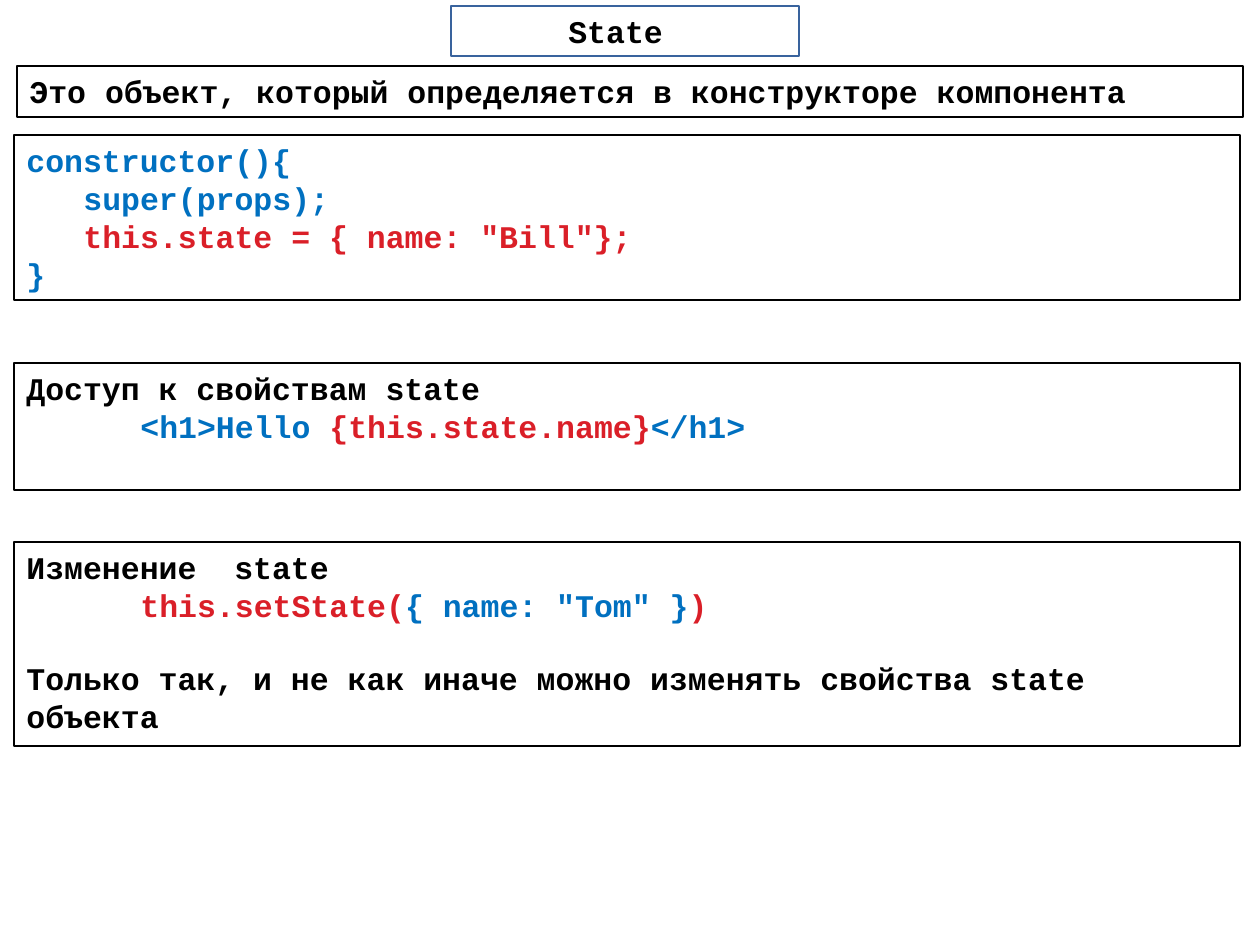
import dataclasses

import pptx
import pptx.dml.color
import pptx.enum.shapes
import pptx.enum.text
import pptx.util

EMU_PER_PX = 914400 / 126


@dataclasses.dataclass(frozen=True)
class Theme:
    """Hold the colours, font and type sizes of the slide."""
    paper: str = "FFFFFF"
    ink: str = "000000"
    code: str = "0070C0"
    accent: str = "DA1F28"
    title_border: str = "39639D"
    font: str = "Courier New"
    text_size: int = 18
    line_gap: float = 20.4
    border: float = 0.75
    title_border_width: float = 1.5


THEME = Theme()


def px(length):
    """Turn whole pixels into EMU."""
    return pptx.util.Emu(round(length * EMU_PER_PX))


def rgb(colour):
    """Turn a hex string into a colour."""
    return pptx.dml.color.RGBColor.from_string(colour)


def add_panel(slide, box, border, border_width, anchor):
    """Draw a bordered panel in the box and return its text frame."""
    panel = slide.shapes.add_shape(
        pptx.enum.shapes.MSO_SHAPE.RECTANGLE, *map(px, box))
    panel.shadow.inherit = False
    panel.fill.solid()
    panel.fill.fore_color.rgb = rgb(THEME.paper)
    panel.line.color.rgb = rgb(border)
    panel.line.width = pptx.util.Pt(border_width)
    panel.text_frame.word_wrap = True
    panel.text_frame.vertical_anchor = anchor
    return panel.text_frame


def write_line(paragraph, parts, alignment, indent=0):
    """Write (text, colour) parts as the runs of one paragraph."""
    paragraph.alignment = alignment
    if indent:
        paragraph._p.get_or_add_pPr().set("marL", str(px(indent)))
    for text, colour in parts:
        run = paragraph.add_run()
        run.text = text
        run.font.name = THEME.font
        run.font.size = pptx.util.Pt(THEME.text_size)
        run.font.bold = True
        run.font.color.rgb = rgb(colour)


def add_title(slide, box, title):
    """Place the centred slide title."""
    frame = add_panel(slide, box, THEME.title_border, THEME.title_border_width,
                      pptx.enum.text.MSO_ANCHOR.MIDDLE)
    write_line(frame.paragraphs[0], [(title, THEME.ink)],
               pptx.enum.text.PP_ALIGN.CENTER)


def add_note(slide, box, lines):
    """Place a panel of (indent, skipped lines, parts) lines."""
    frame = add_panel(slide, box, THEME.ink, THEME.border,
                      pptx.enum.text.MSO_ANCHOR.TOP)
    for number, (indent, skipped, parts) in enumerate(lines):
        paragraph = frame.add_paragraph() if number else frame.paragraphs[0]
        if skipped:
            paragraph.space_before = pptx.util.Pt(skipped * THEME.line_gap)
        write_line(paragraph, parts, pptx.enum.text.PP_ALIGN.LEFT, indent)


def build_state_slide(slide, box):
    """Lay out the title and the notes on component state."""
    left, top, width, height = box
    ink, code, accent = THEME.ink, THEME.code, THEME.accent
    code_indent, example_indent = 57, 114
    note_left, note_width = left + 14, width - 34

    definition = [(0, 0, [
        ("Это объект, который определяется в конструкторе компонента", ink)])]
    constructor = [
        (0, 0, [("constructor(){", code)]),
        (code_indent, 0, [("super(props);", code)]),
        (code_indent, 0, [('this.state = { name: "Bill"};', accent)]),
        (0, 0, [("}", code)]),
    ]
    access = [
        (0, 0, [("Доступ к свойствам state", ink)]),
        (example_indent, 0, [("<h1>Hello", code),
                             (" {this.state.name}", accent),
                             ("</h1>", code)]),
    ]
    change = [
        (0, 0, [("Изменение  state", ink)]),
        (example_indent, 0, [("this.setState(", accent),
                             ('{ name: "Tom" }', code),
                             (")", accent)]),
        (0, 1, [("Только так, и не как иначе можно изменять свойства state "
                 "объекта", ink)]),
    ]

    add_note(slide, (note_left + 3, top + 66, note_width, 51), definition)
    add_title(slide, (left + 451, top + 6, 348, 50), "State ")
    for note_top, note_height, lines in (
            (135, 165, constructor), (363, 127, access), (542, 204, change)):
        add_note(slide, (note_left, top + note_top, note_width, note_height),
                 lines)


def main():
    """Build the presentation and save it."""
    width, height = 1260, 945
    presentation = pptx.Presentation()
    presentation.slide_width = px(width)
    presentation.slide_height = px(height)
    slide = presentation.slides.add_slide(presentation.slide_layouts[6])
    build_state_slide(slide, (0, 0, width, height))
    presentation.save("out.pptx")


if __name__ == "__main__":
    main()
